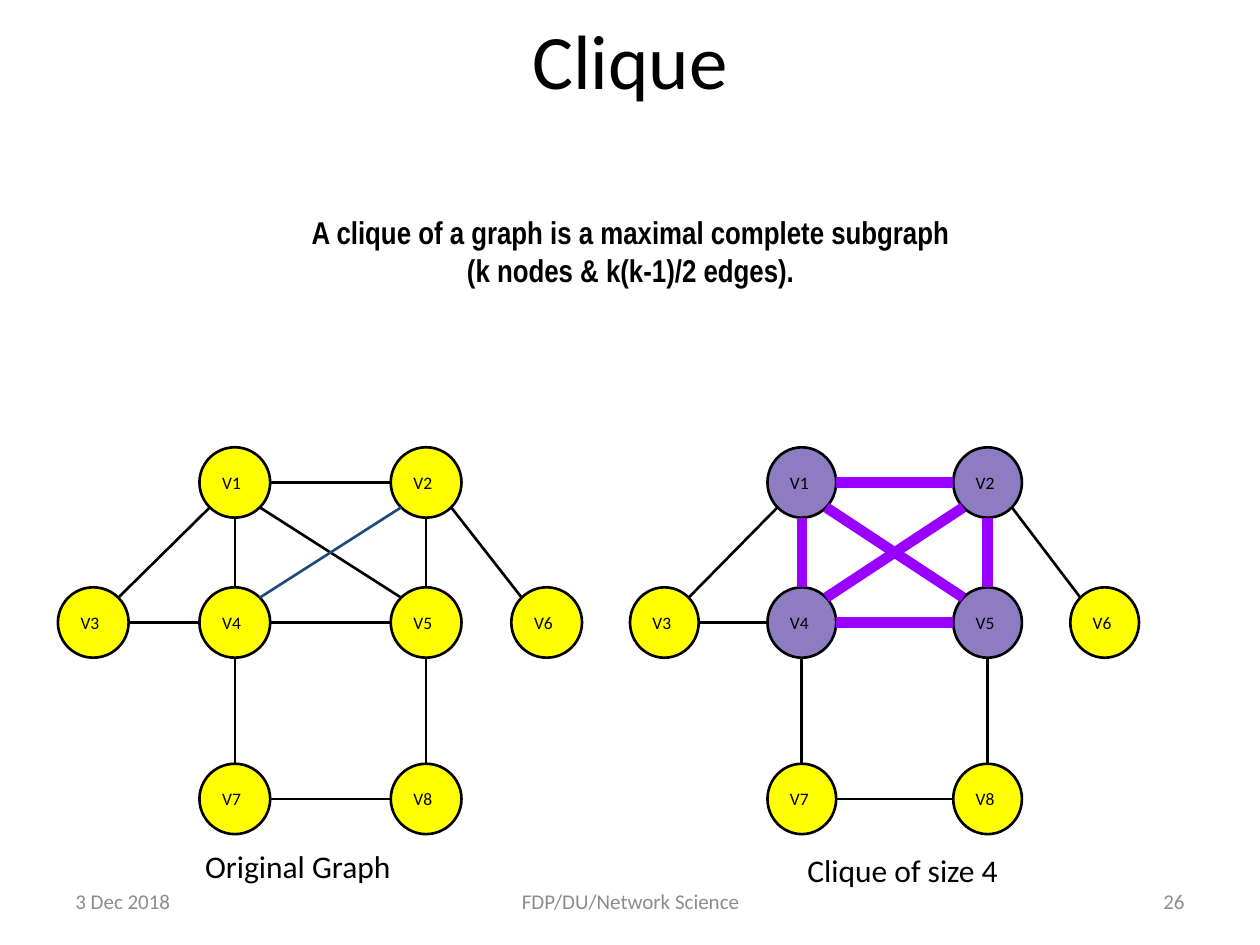
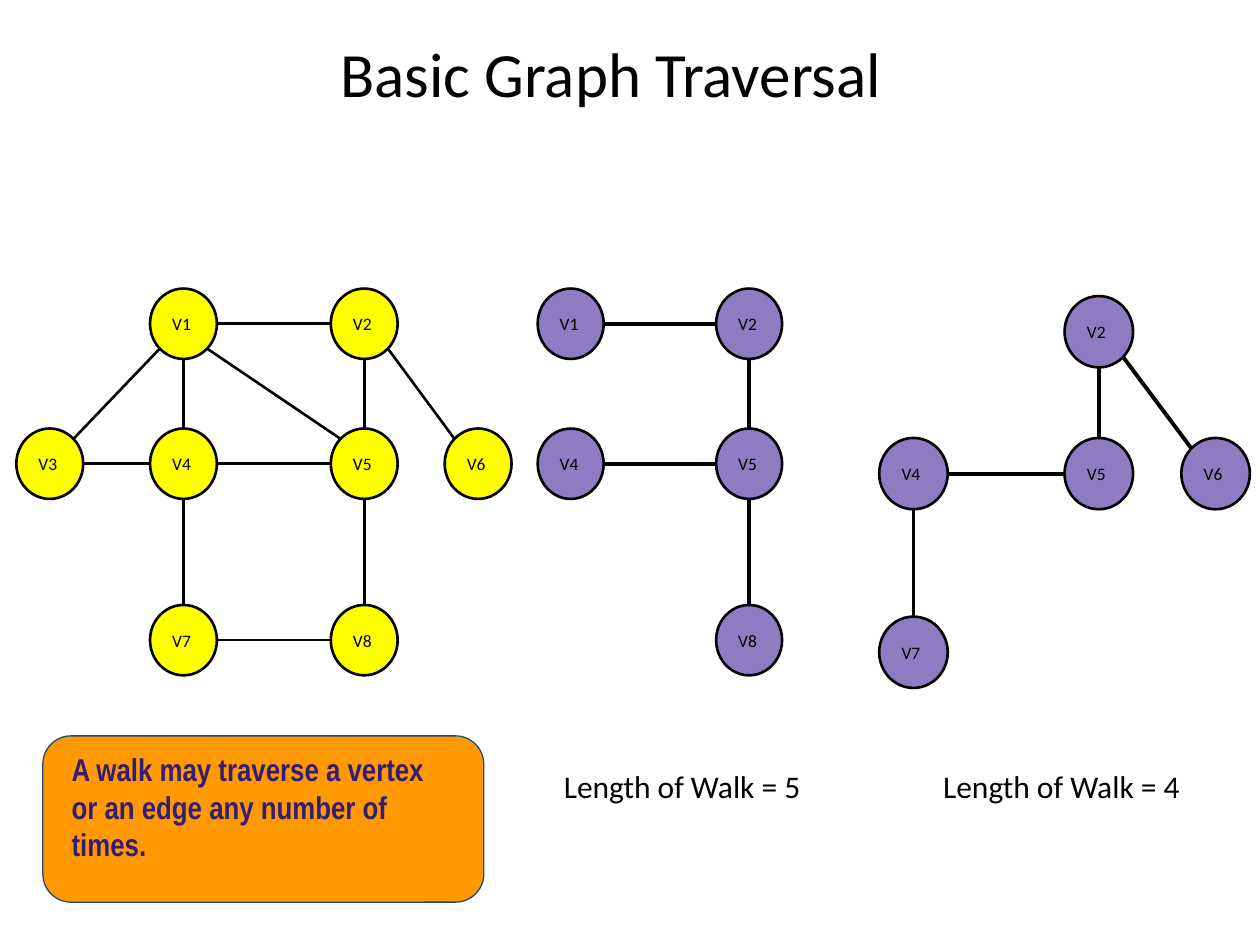
from itertools import combinations

from lxml import etree
from pptx import Presentation
from pptx.dml.color import RGBColor
from pptx.enum.shapes import MSO_CONNECTOR, MSO_SHAPE
from pptx.enum.text import MSO_ANCHOR, MSO_AUTO_SIZE, PP_ALIGN
from pptx.oxml.ns import qn
from pptx.util import Inches, Pt

STRAIGHT = MSO_CONNECTOR.STRAIGHT
ELLIPSE, ROUNDED = MSO_SHAPE.OVAL, MSO_SHAPE.ROUNDED_RECTANGLE
TOP, MIDDLE = MSO_ANCHOR.TOP, MSO_ANCHOR.MIDDLE
LEFT, CENTER, RIGHT = PP_ALIGN.LEFT, PP_ALIGN.CENTER, PP_ALIGN.RIGHT
FIXED_SIZE = MSO_AUTO_SIZE.NONE

BLACK = RGBColor(0x00, 0x00, 0x00)
GRAY = RGBColor(0x8C, 0x8C, 0x8C)
YELLOW = RGBColor(0xFF, 0xFF, 0x00)
LAVENDER = RGBColor(0x8E, 0x7C, 0xC3)
VIOLET = RGBColor(0x99, 0x00, 0xFF)
NAVY = RGBColor(0x1F, 0x49, 0x7D)
ORANGE = RGBColor(0xFF, 0x99, 0x00)
INDIGO = RGBColor(0x35, 0x1C, 0x75)

BODY_FONT, STRONG_FONT = "Calibri", "Arial Narrow"
SLIDE_WIDTH, SLIDE_HEIGHT = Inches(10), Inches(7.5)
COLUMN, ROW = SLIDE_WIDTH / 100, SLIDE_HEIGHT / 75
INSET = Inches(0.1)
TITLE_ONLY = 5

NODE_WIDTH, NODE_HEIGHT = 0.135, 0.182
NODE_COLUMNS = (0, 0.27, 0.635, 0.865)
NODE_ROWS = (0, 0.362, 0.818)
NODE_CELLS = {
    "V1": (1, 0), "V2": (2, 0),
    "V3": (0, 1), "V4": (1, 1), "V5": (2, 1), "V6": (3, 1),
    "V7": (1, 2), "V8": (2, 2),
}
CLIQUE = ("V1", "V2", "V4", "V5")
CLIQUE_EDGES = tuple(combinations(CLIQUE, 2))
CROSS_EDGE = ("V2", "V4")
OUTER_EDGES = (
    ("V1", "V3"), ("V3", "V4"), ("V2", "V6"),
    ("V4", "V7"), ("V5", "V8"), ("V7", "V8"),
)
ALL_EDGES = OUTER_EDGES + CLIQUE_EDGES
PLAIN_EDGES = tuple(edge for edge in ALL_EDGES if edge != CROSS_EDGE)


def to_lengths(box):
    left, top, width, height = box
    return [round(value) for value in (left * COLUMN, top * ROW, width * COLUMN, height * ROW)]


def write(shape, text, size, color=BLACK, font=BODY_FONT, bold=False,
          align=LEFT, anchor=TOP, inset=INSET):
    frame = shape.text_frame
    frame.text = text
    frame.word_wrap = True
    frame.auto_size = FIXED_SIZE
    frame.vertical_anchor = anchor
    frame.margin_left = frame.margin_right = INSET
    frame.margin_top = frame.margin_bottom = inset
    for paragraph in frame.paragraphs:
        paragraph.alignment = align
        paragraph.font.name = font
        paragraph.font.size = Pt(size)
        paragraph.font.bold = bold
        paragraph.font.color.rgb = color


def add_text(slide, box, text, size=18, **style):
    write(slide.shapes.add_textbox(*to_lengths(box)), text, size, **style)


def add_filled(shapes, kind, lengths, fill, line_color, line_width):
    shape = shapes.add_shape(kind, *lengths)
    shape.shadow.inherit = False
    shape.fill.solid()
    shape.fill.fore_color.rgb = fill
    shape.line.color.rgb = line_color
    shape.line.width = Pt(line_width)
    return shape


def add_titled_slide(presentation, box, title, size, align):
    slide = presentation.slides.add_slide(presentation.slide_layouts[TITLE_ONLY])
    placeholder = slide.shapes.title
    placeholder.left, placeholder.top, placeholder.width, placeholder.height = to_lengths(box)
    write(placeholder, title, size, align=align)
    return slide


def add_node(shapes, lengths, name, fill):
    left, top, width, height = lengths
    column, row = NODE_CELLS[name]
    node_lengths = [round(value) for value in (
        left + NODE_COLUMNS[column] * width, top + NODE_ROWS[row] * height,
        NODE_WIDTH * width, NODE_HEIGHT * height)]
    node = add_filled(shapes, ELLIPSE, node_lengths, fill, BLACK, 1.5)
    write(node, name, 10, anchor=MIDDLE)
    return node


def rim_point(node, across, down):
    reach = 0.5 ** 0.5 if across and down else 1
    return (round(node.left + node.width / 2 * (1 + across * reach)),
            round(node.top + node.height / 2 * (1 + down * reach)))


def add_edge(shapes, start, end, color, width):
    start_cell, end_cell = NODE_CELLS[start.text_frame.text], NODE_CELLS[end.text_frame.text]
    across, down = ((b > a) - (b < a) for a, b in zip(start_cell, end_cell))
    edge = shapes.add_connector(STRAIGHT, *rim_point(start, across, down),
                                *rim_point(end, -across, -down))
    edge.line.color.rgb = color
    edge.line.width = Pt(width)
    etree.SubElement(edge._element.spPr, qn("a:effectLst"))


def add_graph(shapes, box, names, edges, fill=YELLOW, highlighted=(),
              edge_style=(BLACK, 1.5), special_edges=(), special_style=None):
    lengths = to_lengths(box)
    nodes = {name: add_node(shapes, lengths, name, LAVENDER if name in highlighted else fill)
             for name in names}
    for edge in edges:
        style = special_style if edge in special_edges else edge_style
        add_edge(shapes, *(nodes[name] for name in edge), *style)


def add_walk(slide, box, route, caption_box):
    add_graph(slide.shapes, box, dict.fromkeys(route), tuple(zip(route, route[1:])),
              fill=LAVENDER, edge_style=(BLACK, 2.25))
    add_text(slide, caption_box, f"Length of Walk = {len(route)}", align=CENTER)


def add_footer(slide, top, height):
    for left, width, text, align in (
        (5, 23.3, "3 Dec 2018", LEFT),
        (34.2, 31.7, "FDP/DU/Network Science", CENTER),
        (71.7, 23.3, "26", RIGHT),
    ):
        add_text(slide, (left, top, width, height), text, 12, color=GRAY,
                 align=align, anchor=MIDDLE, inset=INSET // 2)


def add_callout(slide, box, text):
    left, top, width, height = box
    panel = add_filled(slide.shapes, ROUNDED, to_lengths(box), ORANGE, NAVY, 0.75)
    panel.adjustments[0] = 0.17
    add_text(slide, (left + 1.3, top + 0.1, width - 2.9, height - 1.7), text,
             color=INDIGO, font=STRONG_FONT, bold=True)


def build_clique_slide(presentation):
    slide = add_titled_slide(presentation, (3.4, 0, 93.2, 9.5), "Clique", 44, CENTER)
    add_text(slide, (4.6, 15.9, 90.9, 9.8),
             "A clique of a graph is a maximal complete subgraph\n"
             "(k nodes & k(k-1)/2 edges).",
             font=STRONG_FONT, bold=True, align=CENTER)
    add_graph(slide.shapes, (4.6, 35.5, 41.6, 30.7), NODE_CELLS, ALL_EDGES,
              special_edges=(CROSS_EDGE,), special_style=(NAVY, 1.5))
    add_text(slide, (15.3, 66.2, 24.4, 4.5), "Original Graph")
    add_graph(slide.shapes, (50, 35.5, 40.4, 30.7), NODE_CELLS, ALL_EDGES, highlighted=CLIQUE,
              special_edges=CLIQUE_EDGES, special_style=(VIOLET, 6))
    add_text(slide, (63.1, 66.5, 19.9, 4.5), "Clique of size 4")
    add_footer(slide, 69.5, 4)


def build_traversal_slide(presentation):
    slide = add_titled_slide(presentation, (26, 1.7, 51.9, 10.3),
                             "Basic Graph Traversal", 36, LEFT)
    group = slide.shapes.add_group_shape()
    add_graph(group.shapes, (1.3, 22.9, 39.3, 30.7), NODE_CELLS, PLAIN_EDGES)
    walk_edges = (("V1", "V2"), ("V2", "V5"), ("V5", "V8"), ("V4", "V5"))
    add_graph(slide.shapes, (32.2, 22.9, 38.8, 30.7), ("V1", "V2", "V4", "V5", "V8"),
              walk_edges, fill=LAVENDER, edge_style=(BLACK, 2.25))
    add_text(slide, (35.3, 59.9, 37.7, 7.2), "Length of Walk = 5", align=CENTER)
    branch_edges = (("V7", "V4"), ("V4", "V5"), ("V5", "V2"), ("V2", "V6"))
    add_graph(slide.shapes, (58.9, 23.5, 40.3, 31.1), ("V2", "V4", "V5", "V6", "V7"),
              branch_edges, fill=LAVENDER, edge_style=(BLACK, 2.25))
    add_text(slide, (68.5, 59.9, 31.5, 7.2), "Length of Walk = 4", align=CENTER)
    add_callout(slide, (3.4, 58.4, 35, 13.2),
                "A walk may traverse a vertex or an edge any number of times.")


def main():
    presentation = Presentation()
    presentation.slide_width, presentation.slide_height = SLIDE_WIDTH, SLIDE_HEIGHT
    build_clique_slide(presentation)
    build_traversal_slide(presentation)
    presentation.save("out.pptx")


if __name__ == "__main__":
    main()
